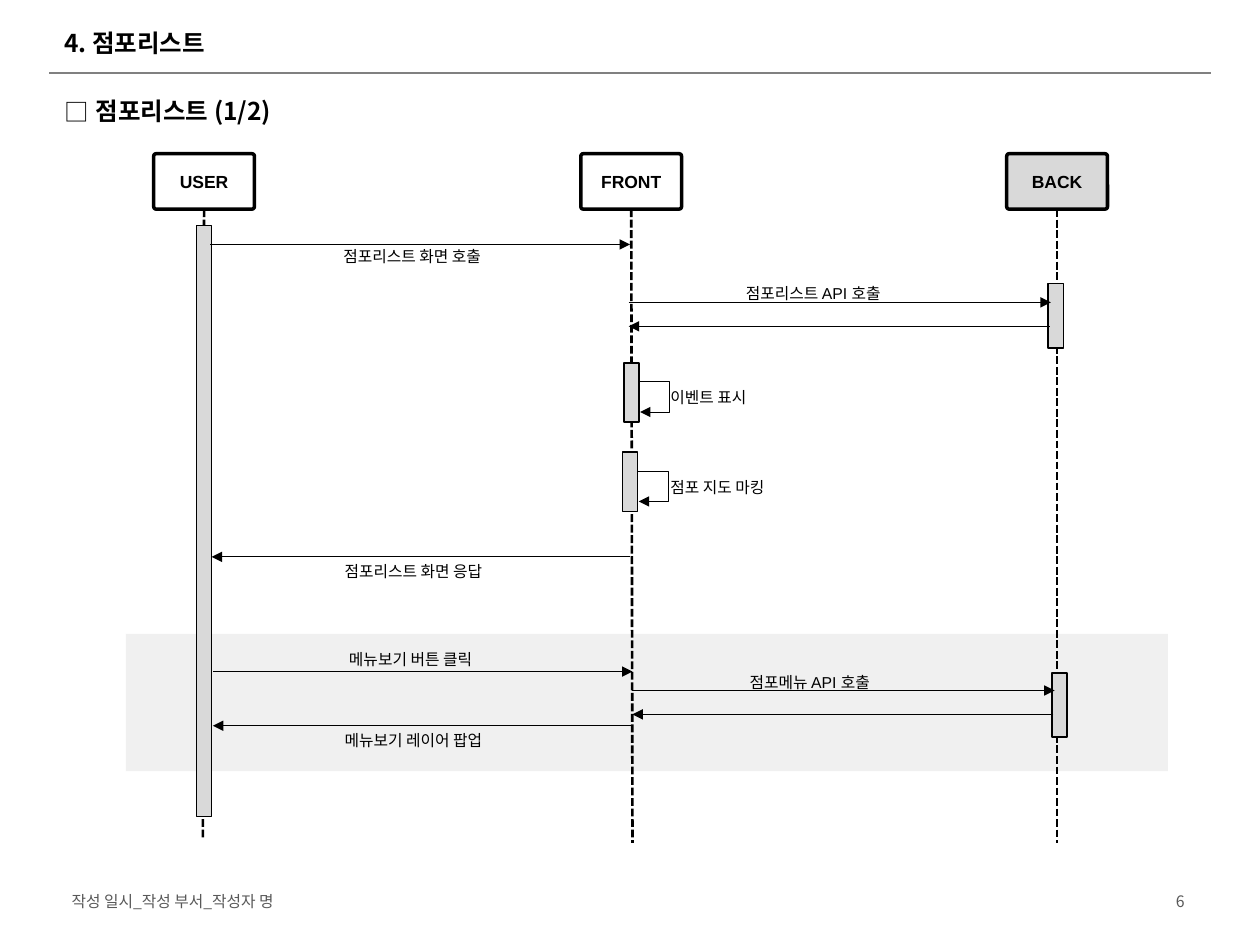
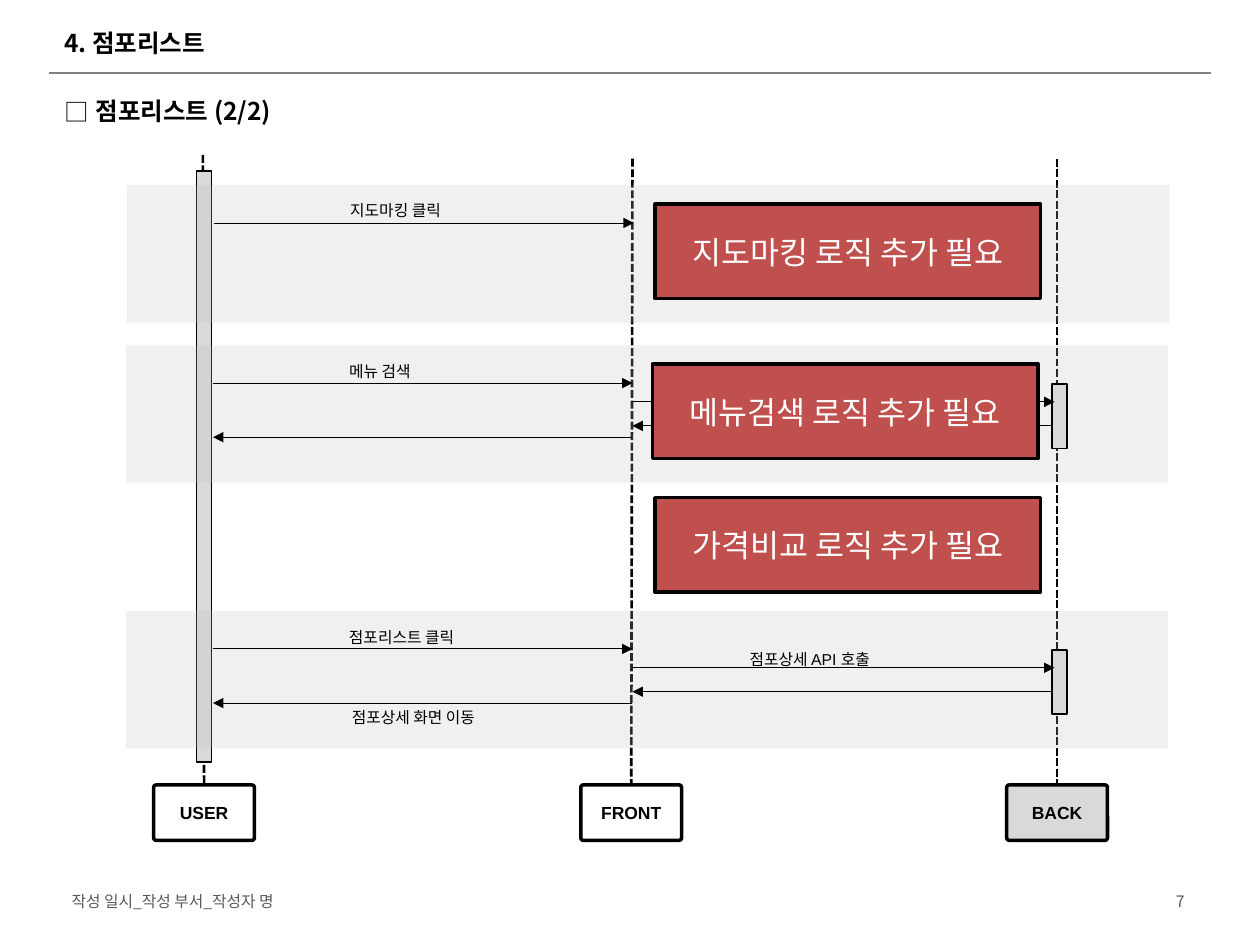
from dataclasses import dataclass
from functools import singledispatch
from typing import Optional

from lxml import etree
from pptx import Presentation
from pptx import util as u
from pptx.dml.color import RGBColor
from pptx.enum import dml, shapes, text
from pptx.oxml.ns import qn

# Grid: 100 columns by 75 rows
WIDTH, HEIGHT = u.Inches(10), u.Inches(7.5)
COLUMN, ROW = WIDTH / 100, HEIGHT / 75


# Theme
@dataclass(frozen=True)
class Theme:
    black: str = "000000"
    white: str = "FFFFFF"
    grey: str = "D9D9D9"
    band: str = "BFBFBF"
    band_alpha: int = 22
    rule: str = "808080"
    footer: str = "595959"
    notice: str = "C0504D"
    korean: str = "Noto Sans CJK KR"
    latin: str = "Arial"
    heading_size: int = 14
    notice_size: int = 18
    role_size: int = 10
    small_size: int = 9


THEME = Theme()


# Elements of a sequence diagram, measured in columns and rows
@dataclass(frozen=True)
class Role:
    name: str
    left: float
    lifeline: float
    drop: float
    fill: Optional[str]


@dataclass(frozen=True)
class Band:
    top: float
    left: float = 10


@dataclass(frozen=True)
class Bar:
    left: float
    top: float
    height: float = 5.1


@dataclass(frozen=True)
class Arrow:
    start: float
    end: float
    row: float


@dataclass(frozen=True)
class SelfCall:
    column: float
    top: float


@dataclass(frozen=True)
class Label:
    column: float
    top: float
    words: str
    centred: bool = False


@dataclass(frozen=True)
class Notice:
    left: float
    top: float
    words: str


@dataclass(frozen=True)
class Scene:
    number: int
    heading: str
    role_top: float
    lifeline_row: float
    roles_on_top: bool
    backdrop: list
    steps: list


ROLES = [
    Role("USER", 12.2, 16.1, 0, THEME.white),
    Role("FRONT", 46.1, 50.2, 0.3, None),
    Role("BACK", 79.9, 83.9, 0.3, THEME.grey),
]
ROLE_WIDTH, ROLE_HEIGHT = 8, 4.4
USER_EDGE, FRONT_LINE, BACK_EDGE = 16.9, 50.2, 83.6
LOOP_DEPTH, LOOP_HEIGHT, LOOP_STEP = 2.5, 2.4, 0.1


# Basic helpers
def col(value: float) -> u.Emu:
    return u.Emu(round(value * COLUMN))


def row(value: float) -> u.Emu:
    return u.Emu(round(value * ROW))


def box(left: float, top: float, width: float, height: float) -> tuple:
    return col(left), row(top), col(width), row(height)


def add_run(paragraph, words: str, size: float, color: str, font: str, bold: bool = False) -> None:
    run = paragraph.add_run()
    run.text = words
    run.font.size = u.Pt(size)
    run.font.bold = bold
    run.font.name = font
    run.font.color.rgb = RGBColor.from_string(color)
    etree.SubElement(run._r.get_or_add_rPr(), qn("a:ea")).set("typeface", THEME.korean)


def clear_insets(frame) -> None:
    frame.margin_left = frame.margin_right = frame.margin_top = frame.margin_bottom = 0


def add_text(slide, place: tuple, words: str, size: float, color: str = THEME.black,
             bold: bool = False, align=text.PP_ALIGN.LEFT, anchor=text.MSO_ANCHOR.MIDDLE):
    frame = slide.shapes.add_textbox(*place).text_frame
    frame.word_wrap = True
    frame.vertical_anchor = anchor
    paragraph = frame.paragraphs[0]
    paragraph.alignment = align
    add_run(paragraph, words, size, color, THEME.korean, bold)
    return paragraph


def add_box(slide, place: tuple, fill: Optional[str], line_width: float,
            kind=shapes.MSO_SHAPE.RECTANGLE):
    shape = slide.shapes.add_shape(kind, *place)
    shape.shadow.inherit = False
    if fill:
        shape.fill.solid()
        shape.fill.fore_color.rgb = RGBColor.from_string(fill)
    else:
        shape.fill.background()
    if line_width:
        shape.line.color.rgb = RGBColor.from_string(THEME.black)
        shape.line.width = u.Pt(line_width)
    else:
        shape.line.fill.background()
    return shape


def add_line(slide, start: tuple, end: tuple, width: float, color: str = THEME.black,
             arrow: bool = False, kind=shapes.MSO_CONNECTOR.STRAIGHT):
    connector = slide.shapes.add_connector(
        kind, col(start[0]), row(start[1]), col(end[0]), row(end[1]))
    connector.line.color.rgb = RGBColor.from_string(color)
    connector.line.width = u.Pt(width)
    properties = connector.element.spPr
    if arrow:
        etree.SubElement(properties.find(qn("a:ln")), qn("a:tailEnd")).set("type", "triangle")
    etree.SubElement(properties, qn("a:effectLst"))
    return connector


# One drawing function for each kind of element
@singledispatch
def draw(step, slide) -> None:
    raise TypeError(step)


@draw.register
def draw_band(band: Band, slide) -> None:
    shape = add_box(slide, box(band.left, band.top, 82.7, 10.9), THEME.band, 0)
    color = shape.element.spPr.find(qn("a:solidFill")).find(qn("a:srgbClr"))
    etree.SubElement(color, qn("a:alpha")).set("val", str(THEME.band_alpha * 1000))


@draw.register
def draw_bar(bar: Bar, slide) -> None:
    add_box(slide, box(bar.left, bar.top, 1.2, bar.height), THEME.grey, 1)


@draw.register
def draw_arrow(arrow: Arrow, slide) -> None:
    add_line(slide, (arrow.start, arrow.row), (arrow.end, arrow.row), 0.5, arrow=True)


@draw.register
def draw_self_call(call: SelfCall, slide) -> None:
    connector = add_line(
        slide, (call.column, call.top), (call.column + LOOP_STEP, call.top + LOOP_HEIGHT),
        0.5, arrow=True, kind=shapes.MSO_CONNECTOR.ELBOW)
    geometry = connector.element.spPr.find(qn("a:prstGeom"))
    guides = geometry.find(qn("a:avLst"))
    if guides is None:
        guides = etree.SubElement(geometry, qn("a:avLst"))
    guide = etree.SubElement(guides, qn("a:gd"))
    guide.set("name", "adj1")
    guide.set("fmla", f"val {round(LOOP_DEPTH / LOOP_STEP * 100000)}")


@draw.register
def draw_label(label: Label, slide) -> None:
    width = sum(0.5 if c == " " else 0.8 if c.isascii() else 1.25 for c in label.words)
    left = label.column - width / 2 if label.centred else label.column
    frame = slide.shapes.add_textbox(*box(left, label.top, width, 1.5)).text_frame
    frame.word_wrap = False
    frame.auto_size = text.MSO_AUTO_SIZE.SHAPE_TO_FIT_TEXT
    clear_insets(frame)
    paragraph = frame.paragraphs[0]
    paragraph.alignment = text.PP_ALIGN.CENTER if label.centred else text.PP_ALIGN.LEFT
    add_run(paragraph, label.words, THEME.small_size, THEME.black, THEME.latin)


@draw.register
def draw_notice(notice: Notice, slide) -> None:
    shape = add_box(slide, box(notice.left, notice.top, 30.6, 7.5), THEME.notice, 2)
    shape.text_frame.vertical_anchor = text.MSO_ANCHOR.MIDDLE
    paragraph = shape.text_frame.paragraphs[0]
    paragraph.alignment = text.PP_ALIGN.CENTER
    add_run(paragraph, notice.words, THEME.notice_size, THEME.white, THEME.korean)


def draw_role(slide, role: Role, scene: Scene) -> None:
    shape = add_box(slide, box(role.left, scene.role_top, ROLE_WIDTH, ROLE_HEIGHT),
                    role.fill, 2, shapes.MSO_SHAPE.ROUNDED_RECTANGLE)
    shape.adjustments[0] = 0.046
    frame = shape.text_frame
    clear_insets(frame)
    frame.vertical_anchor = text.MSO_ANCHOR.MIDDLE
    paragraph = frame.paragraphs[0]
    paragraph.alignment = text.PP_ALIGN.CENTER
    paragraph.space_before = u.Pt(THEME.role_size * 0.1)
    add_run(paragraph, role.name, THEME.role_size, THEME.black, THEME.latin, True)

    free_end = (role.lifeline, scene.lifeline_row + role.drop)
    box_end = (role.lifeline, scene.role_top)
    ends = (box_end, free_end) if scene.roles_on_top else (free_end, box_end)
    lifeline = add_line(slide, *ends, 1.5)
    lifeline.line.dash_style = dml.MSO_LINE.SQUARE_DOT
    if scene.roles_on_top:
        lifeline.begin_connect(shape, 2)
    else:
        lifeline.end_connect(shape, 0)


# A click that goes from user to front to back and returns
def exchange(top: float, click: str, api: str = "", reply: str = "") -> list:
    steps = [
        Label(27.7, top + 1.3, click),
        Arrow(USER_EDGE, FRONT_LINE, top + 3),
        Bar(83.5, top + 3.1),
        Arrow(BACK_EDGE, FRONT_LINE, top + 6.4),
        Arrow(FRONT_LINE, BACK_EDGE + 0.1, top + 4.5),
        Arrow(FRONT_LINE, USER_EDGE, top + 7.3),
    ]
    if api:
        steps.append(Label(59.5, top + 3.1, api))
    if reply:
        steps.append(Label(32.8, top + 7.7, reply, centred=True))
    return steps


# Title, rule, heading and footer shared by the slides
def draw_frame(slide, scene: Scene) -> None:
    add_line(slide, (3.9, 5.8), (96.1, 5.8), 1, THEME.rule)
    add_text(slide, box(4.7, 70.2, 28, 2.6), "작성 일시_작성 부서_작성자 명",
             THEME.small_size, THEME.footer)
    add_text(slide, box(71.7, 69.5, 23.3, 4), str(scene.number), THEME.small_size,
             THEME.footer, align=text.PP_ALIGN.RIGHT)
    add_text(slide, box(4.1, 1.6, 91.1, 3.6), "4. 점포리스트", THEME.heading_size, bold=True)
    heading = add_text(slide, box(4.1, 6, 92.1, 5.5), scene.heading, THEME.heading_size,
                       bold=True, anchor=text.MSO_ANCHOR.TOP)
    heading.line_spacing = 1.5
    heading.space_before = u.Pt(THEME.heading_size * 0.2)
    properties = heading._p.get_or_add_pPr()
    properties.set("marL", str(col(2.5)))
    properties.set("indent", str(-col(2.5)))
    etree.SubElement(properties, qn("a:buFont")).set("typeface", THEME.korean)
    etree.SubElement(properties, qn("a:buChar")).set("char", "□")


SCENES = [
    Scene(6, "점포리스트 (1/2)", 12.2, 66.6, True, [Band(50.3)], [
        Bar(15.6, 17.9, 46.9),
        Arrow(16.7, 50, 19.4), Label(32.7, 19.6, "점포리스트 화면 호출", True),
        Label(59.2, 22.5, "점포리스트 API 호출"), Bar(83.2, 22.5),
        Arrow(83.3, 49.9, 25.9), Arrow(49.9, 83.4, 24),
        Bar(49.5, 28.8, 4.7), SelfCall(50.7, 30.3), Label(53.2, 30.8, "이벤트 표시"),
        Bar(49.4, 35.9, 4.7), SelfCall(50.6, 37.4), Label(53.2, 37.9, "점포 지도 마킹"),
        Arrow(50, 16.8, 44.2), Label(32.8, 44.6, "점포리스트 화면 응답", True),
        *exchange(50.3, "메뉴보기 버튼 클릭", "점포메뉴 API 호출", "메뉴보기 레이어 팝업"),
    ]),
    Scene(7, "점포리스트 (2/2)", 62.3, 12.3, False, [], [
        Bar(15.6, 13.6, 46.9),
        Band(48.5), *exchange(48.5, "점포리스트 클릭", "점포상세 API 호출", "점포상세 화면 이동"),
        Band(14.7, 10.1), Label(27.8, 15.9, "지도마킹 클릭"), Arrow(17, 50.3, 17.7),
        Notice(52, 16.2, "지도마킹 로직 추가 필요"),
        Band(27.4), *exchange(27.4, "메뉴 검색"),
        Notice(51.8, 28.9, "메뉴검색 로직 추가 필요"),
        Notice(52, 39.5, "가격비교 로직 추가 필요"),
    ]),
]


def main() -> None:
    presentation = Presentation()
    presentation.slide_width, presentation.slide_height = WIDTH, HEIGHT
    for scene in SCENES:
        slide = presentation.slides.add_slide(presentation.slide_layouts[6])
        draw_frame(slide, scene)
        for band in scene.backdrop:
            draw(band, slide)
        for role in ROLES:
            draw_role(slide, role, scene)
        for step in scene.steps:
            draw(step, slide)
    presentation.save("out.pptx")


if __name__ == "__main__":
    main()
